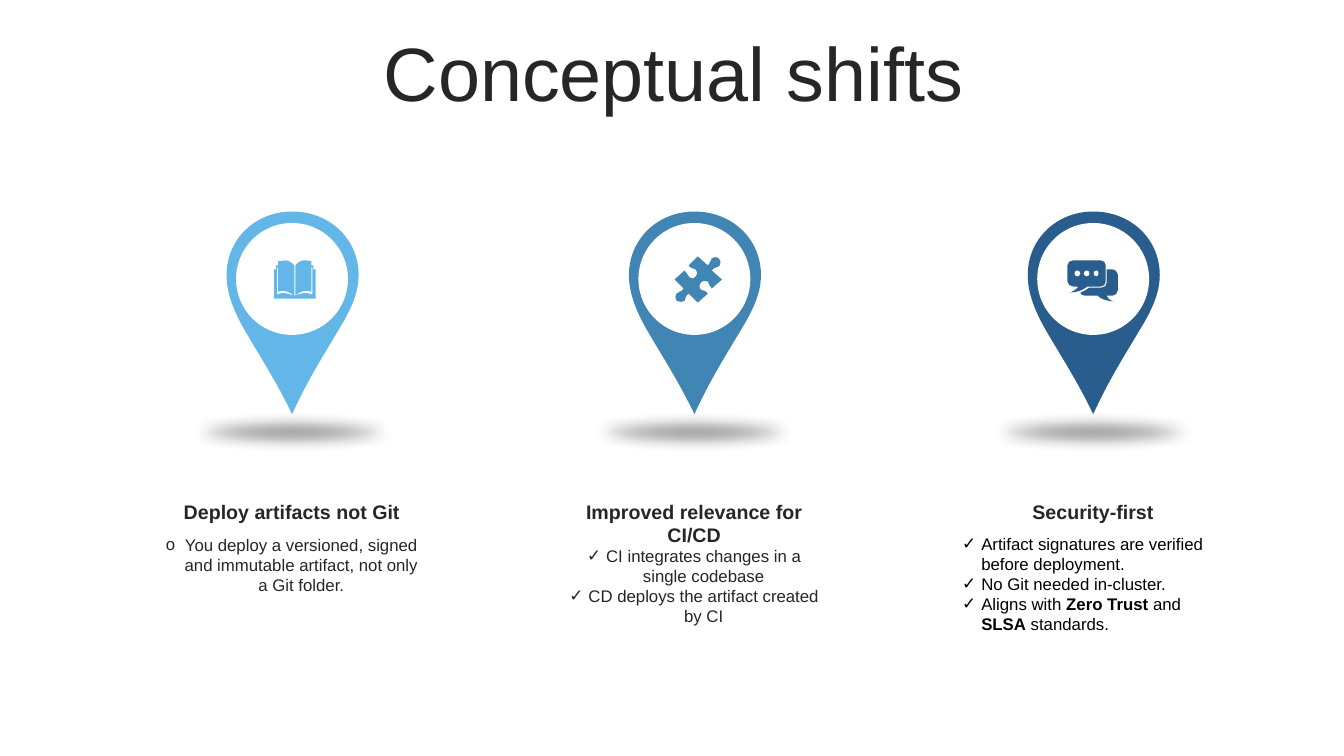
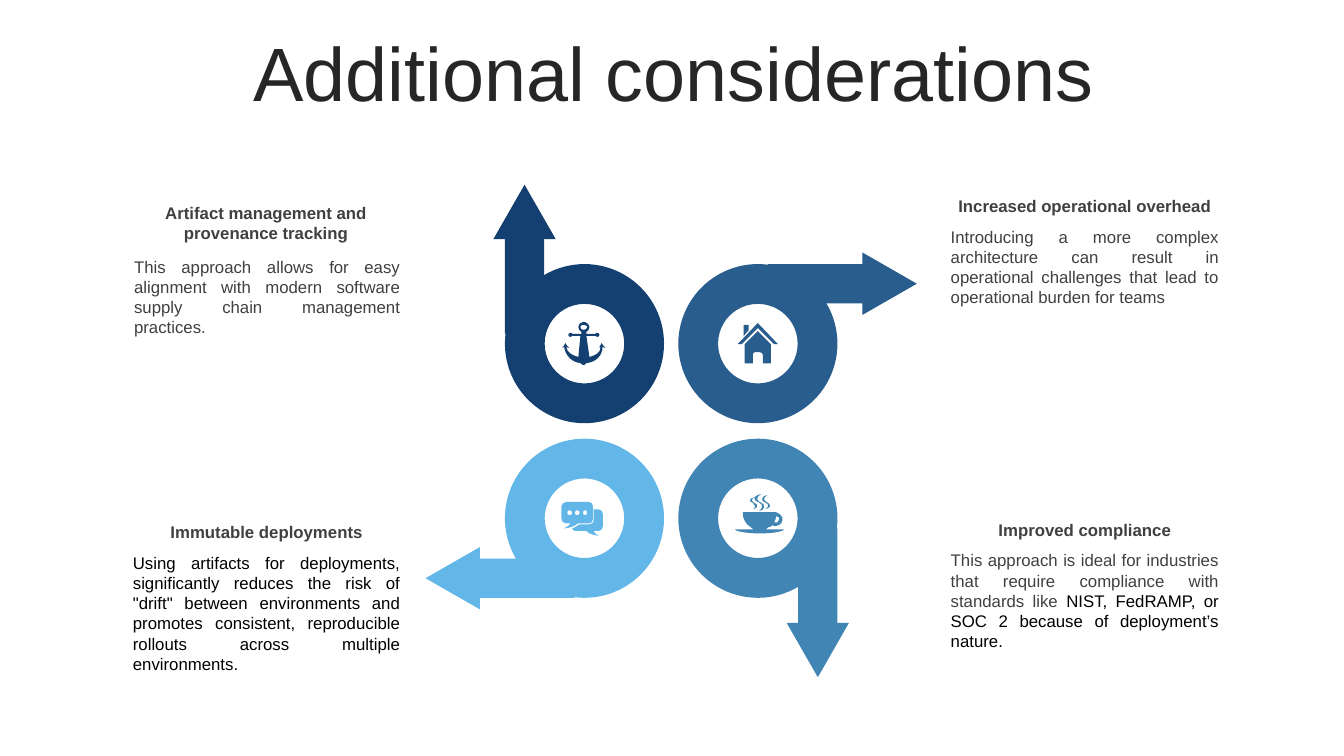
"""Build two slides: map pins for conceptual shifts and ring arrows for considerations."""
from dataclasses import dataclass
from math import cos, radians, sin
from typing import Any, NamedTuple

from lxml.etree import Element, SubElement
from pptx import Presentation
from pptx.dml.color import RGBColor
from pptx.enum.shapes import MSO_SHAPE as Shp
from pptx.enum.text import MSO_ANCHOR as Anchor, MSO_AUTO_SIZE as Auto, PP_ALIGN as Al
from pptx.oxml.ns import qn
from pptx.util import Cm, Pt

FONT = "Arial"
INK, GREY, BLACK, WHITE = "262626", "404040", "000000", "FFFFFF"
SKY, STEEL, BLUE, NAVY = "62B7E8", "4185B5", "285D8D", "134070"
CHECK = "✓"
COLUMN_W = 7.09
UNIT = Cm(2.54) / 100

PIN = ("M65 0 C102 0 131 27 131 63 C131 81 123 98 112 116 C96 143 81 166 65 201 "
       "C48 166 35 147 17 116 C7 98 0 81 0 63 C0 27 29 0 65 0")
BOOK = ("M20 35 L21 35 C27 33 30 31 38 34 L38 7 L37 7 L37 31 C31 29 25 31 21 35 L21 5 "
        "C24 2 26 0 30 0 C32 0 33 0 37 1 L37 5 L39 5 L39 9 L41 9 L41 38 L0 38 L0 9 L2 9 "
        "L2 5 L4 5 L4 1 C7 0 8 0 11 0 C14 0 17 2 20 5 L20 35 C15 31 9 29 4 31 L4 7 L3 7 "
        "L3 34 C9 31 13 33 20 35")
PUZZLE = ("M44 2 C46 4 46 7 45 9 C42 12 40 10 37 14 L47 23 L37 32 C34 30 35 27 33 25 "
          "C30 24 28 24 26 26 C25 27 24 30 26 33 C29 35 30 33 33 37 L23 46 L14 37 "
          "C10 40 12 41 10 44 C7 46 4 45 2 44 C1 42 0 39 2 37 C4 34 7 36 9 32 L0 23 L10 14 "
          "C13 16 12 19 15 21 C17 23 20 22 21 20 C23 19 23 16 21 13 C18 11 17 13 14 9 "
          "L23 0 L33 9 C36 6 35 5 37 2 C40 0 43 1 44 2")
CHAT = ("M29 10 C27 10 26 11 26 13 C26 15 27 16 29 16 C30 16 31 15 31 13 C31 11 30 10 29 10 "
        "M19 10 C18 10 16 11 16 13 C16 15 18 16 19 16 C21 16 22 15 22 13 C22 11 21 10 19 10 "
        "M10 10 C8 10 7 11 7 13 C7 15 8 16 10 16 C11 16 13 15 13 13 C13 11 11 10 10 10 "
        "M39 9 L45 9 C47 9 50 11 50 14 L50 30 C50 33 47 35 45 35 L39 35 C40 37 40 38 45 41 "
        "C36 39 34 39 30 35 L17 35 C15 35 13 34 13 32 C16 31 19 29 22 27 L34 27 "
        "C37 27 39 25 39 22 L39 9 M6 0 L33 0 C36 0 38 2 38 5 L38 21 C38 24 36 26 33 26 "
        "L20 26 C14 30 12 31 3 32 C8 29 9 29 11 26 L6 26 C3 26 0 24 0 21 L0 5 C0 2 3 0 6 0")
HOUSE = ("M20 8 L33 21 L33 40 L25 40 L25 32 C25 30 24 29 22 29 L17 29 C16 29 15 30 15 32 "
         "L15 40 L7 40 L7 21 M6 2 L11 2 L11 7 L6 13 M20 0 L40 21 L36 21 L20 5 L4 21 L0 21")
CUP = ("M41 22 C41 24 40 26 39 28 C40 28 41 28 42 28 C43 27 44 26 44 24 C44 23 43 22 41 22 "
       "M41 18 C44 19 46 21 47 23 C48 27 46 30 43 31 C41 32 39 32 37 31 C36 32 35 33 33 33 "
       "C32 34 31 35 30 35 L49 35 C48 37 38 39 25 39 C12 39 1 37 0 35 L19 35 "
       "C18 35 17 34 16 33 C11 30 7 24 8 18 "
       "M20 3 C18 4 17 4 17 6 C17 9 23 9 22 12 C22 14 21 14 18 15 C20 14 20 13 20 12 "
       "C20 9 17 9 15 7 C14 5 16 4 20 3 "
       "M32 1 C30 3 29 3 29 5 C29 8 35 8 35 12 C34 14 33 14 30 15 C32 14 33 13 33 11 "
       "C33 9 28 8 27 6 C26 4 28 2 32 1 "
       "M26 0 C24 2 22 2 22 5 C23 9 30 8 29 13 C29 15 27 16 24 17 C26 15 27 14 27 12 "
       "C27 9 22 8 20 6 C18 3 21 1 26 0")
ANCHOR = ("M21 3 C19 3 18 4 18 5 C18 7 19 8 21 8 C23 8 25 7 25 5 C25 4 23 3 21 3 "
          "M21 0 C24 0 27 3 27 5 C27 7 26 9 24 10 L24 12 L33 12 C33 11 34 11 35 11 "
          "C36 11 37 12 37 13 C37 14 36 15 35 15 C34 15 33 14 33 14 L24 14 L27 35 "
          "C33 33 38 31 38 25 C37 25 36 25 36 26 C37 24 39 23 39 21 C40 23 41 24 43 26 "
          "C42 25 41 25 40 25 C40 33 34 40 24 41 C23 42 22 43 21 43 C20 43 20 42 18 41 "
          "C9 40 3 33 2 25 C1 25 1 25 0 26 C1 24 3 23 3 21 C4 23 5 24 7 26 C6 25 5 25 4 25 "
          "C5 31 10 33 16 35 L18 14 L10 14 C10 14 9 15 8 15 C7 15 6 14 6 13 C6 12 7 11 8 11 "
          "C9 11 10 11 10 12 L19 12 L19 10 C17 9 16 7 16 5 C16 3 18 0 21 0")


class Box(NamedTuple):
    """Position and size in centimetres."""
    left: float
    top: float
    width: float
    height: float


class Run(NamedTuple):
    """Text with its colour and weight."""
    text: str
    color: str = INK
    bold: bool = False


class Icon(NamedTuple):
    """An outline placed in centimetres."""
    outline: str
    left: float
    top: float
    scale: float = 1


@dataclass
class Pin:
    """A map pin with a heading and a bulleted text below it."""
    left: float
    color: str
    icon: Icon
    heading: str
    heading_h: float
    body_top: float
    body_h: float
    body: list[list[Run]]
    bullet: str = CHECK
    align: Any = Al.CENTER


@dataclass
class Ring:
    """A ring whose arrow leaves at a quarter-turn angle."""
    x: float
    y: float
    angle: int
    color: str
    icon: Icon


@dataclass
class Note:
    """A heading with a justified text below it."""
    heading: str
    heading_box: Box
    body_box: Box
    body: list[Run]


PINS = [
    Pin(3.81, SKY, Icon(BOOK, 6.91, 6.56), "Deploy artifacts not Git", 0.86, 13.34, 1.8,
        [[Run("You deploy a versioned, signed and immutable artifact, not only a Git folder.")]],
        bullet="o"),
    Pin(13.95, STEEL, Icon(PUZZLE, 17, 6.46), "Improved relevance for CI/CD", 1.45, 13.62, 2.31,
        [[Run("CI integrates changes in a single codebase")],
         [Run("CD deploys the artifact created by CI")]]),
    Pin(24, BLUE, Icon(CHAT, 26.9, 6.56), "Security-first", 0.86, 13.32, 2.82,
        [[Run("Artifact signatures are verified before deployment.", BLACK)],
         [Run("No Git needed in-cluster.", BLACK)],
         [Run("Aligns with ", BLACK), Run("Zero Trust", BLACK, True), Run(" and ", BLACK),
          Run("SLSA", BLACK, True), Run(" standards.", BLACK)]],
        align=Al.LEFT),
]

RINGS = [
    Ring(14.73, 13.06, 180, SKY, Icon(CHAT, 14.15, 12.65, 0.82)),
    Ring(19.1, 8.66, 0, BLUE, Icon(HOUSE, 18.59, 8.14)),
    Ring(14.73, 8.66, 270, NAVY, Icon(ANCHOR, 14.17, 8.11)),
    Ring(19.1, 13.06, 90, STEEL, Icon(CUP, 18.52, 12.45)),
]

NOTES = [
    Note("Artifact management and provenance tracking",
         Box(3.1, 4.98, 7.21, 1.27), Box(3.13, 6.34, 7.21, 1.8),
         [Run("This approach allows for easy alignment with modern software supply chain "
              "management practices.", GREY)]),
    Note("Increased operational overhead",
         Box(23.71, 4.8, 7.26, 0.76), Box(23.71, 5.58, 7.26, 2.31),
         [Run("Introducing a more complex architecture can result in operational challenges "
              "that lead to operational burden for teams", GREY)]),
    Note("Immutable deployments",
         Box(3.1, 13.03, 7.24, 0.76), Box(3.1, 13.8, 7.24, 3.33),
         [Run('Using artifacts for deployments, significantly reduces the risk of "drift" '
              "between environments and promotes consistent, reproducible rollouts across "
              "multiple environments.", BLACK)]),
    Note("Improved compliance",
         Box(23.71, 12.97, 7.26, 0.76), Box(23.71, 13.74, 7.26, 2.82),
         [Run("This approach is ideal for industries that require compliance with standards "
              "like ", GREY),
          Run("NIST, FedRAMP, or SOC 2 because of deployment’s nature.", BLACK)]),
]


def rgb(color: str) -> RGBColor:
    """Turn a hex string into a colour."""
    return RGBColor.from_string(color)


def apply(target: Any, values: dict[str, Any]) -> None:
    """Set each attribute named in a dict."""
    for name, value in values.items():
        setattr(target, name, value)


def paint(s: Any, color: str) -> None:
    """Give a shape a flat fill with no line or shadow."""
    s.shadow.inherit = False
    s.fill.solid()
    s.fill.fore_color.rgb = rgb(color)
    s.line.fill.background()


def add_shape(slide: Any, kind: Any, box: Box, color: str, angle: float = 0) -> Any:
    """Draw a preset shape."""
    s = slide.shapes.add_shape(kind, *map(Cm, box))
    paint(s, color)
    s.rotation = angle
    return s


def add_centred(slide: Any, kind: Any, x: float, y: float, w: float, h: float,
                color: str, angle: float = 0) -> None:
    """Draw a preset shape around a centre point."""
    add_shape(slide, kind, Box(x - w / 2, y - h / 2, w, h), color, angle)


def bend(s: Any, kinds: str) -> None:
    """Merge each three segments that stand for a curve into one Bézier segment."""
    segments = s._element.spPr.iter(qn("a:moveTo"), qn("a:lnTo"))
    nodes = iter(list(segments))
    for kind in kinds:
        node = next(nodes)
        if kind == "C":
            curve = Element(qn("a:cubicBezTo"))
            node.addprevious(curve)
            for line in (node, next(nodes), next(nodes)):
                curve.append(line[0])
                line.getparent().remove(line)


def add_icon(slide: Any, icon: Icon, color: str) -> None:
    """Draw an outline of M, L and C commands as one freeform."""
    unit = UNIT * icon.scale
    builder = None
    for contour in icon.outline.split("M")[1:]:
        nums = [round(float(n) * unit) for n in contour.replace("L", "").replace("C", "").split()]
        first, *rest = zip(nums[::2], nums[1::2])
        if builder is None:
            builder = slide.shapes.build_freeform(*first, scale=1.0)
        else:
            builder.move_to(*first)
        builder.add_line_segments(rest, close=True)
    s = builder.convert_to_shape(Cm(icon.left), Cm(icon.top))
    bend(s, "".join(c for c in icon.outline if c in "MLC"))
    paint(s, color)


def add_text(slide: Any, box: Box, paragraphs: list[list[Run]], size: int = 12,
             align: Any = Al.CENTER, anchor: Any = Anchor.TOP, bullet: str = "") -> None:
    """Write paragraphs in a wrapping text box."""
    tf = slide.shapes.add_textbox(*map(Cm, box)).text_frame
    apply(tf, {"word_wrap": True, "auto_size": Auto.SHAPE_TO_FIT_TEXT, "vertical_anchor": anchor})
    for i, runs in enumerate(paragraphs):
        p = tf.add_paragraph() if i else tf.paragraphs[0]
        p.alignment = align
        if bullet:
            pPr = p._p.get_or_add_pPr()
            pPr.set("marL", str(Cm(0.48)))
            pPr.set("indent", str(-Cm(0.48)))
            SubElement(pPr, qn("a:buFont")).set("typeface", FONT)
            SubElement(pPr, qn("a:buChar")).set("char", bullet)
        for run in runs:
            r = p.add_run()
            r.text = run.text
            apply(r.font, {"name": FONT, "size": Pt(size), "bold": run.bold})
            r.font.color.rgb = rgb(run.color)


def add_slide(prs: Any, title: str) -> Any:
    """Add a title-only slide with the shared title style."""
    slide = prs.slides.add_slide(prs.slide_layouts[5])
    s = slide.shapes.title
    apply(s, {"left": Cm(0.89), "top": Cm(0.94), "width": Cm(32.16), "height": Cm(2.01)})
    tf = s.text_frame
    tf.text = title
    apply(tf, {"word_wrap": True, "auto_size": Auto.NONE, "vertical_anchor": Anchor.MIDDLE})
    p = tf.paragraphs[0]
    apply(p, {"alignment": Al.CENTER, "line_spacing": 0.9})
    r = p.runs[0]
    apply(r.font, {"name": FONT, "size": Pt(54)})
    r.font.color.rgb = rgb(INK)
    return slide


def add_shadow(slide: Any, left: float) -> None:
    """Draw the soft translucent ellipse under a pin."""
    s = add_shape(slide, Shp.OVAL, Box(left, 10.35, COLUMN_W, 1.07), GREY)
    spPr = s._element.spPr
    SubElement(spPr.find(qn("a:solidFill"))[0], qn("a:alpha")).set("val", "58000")
    SubElement(spPr.find(qn("a:effectLst")), qn("a:softEdge")).set("rad", str(Pt(10)))


def add_pin(slide: Any, pin: Pin) -> None:
    """Draw a pin with its icon and texts."""
    add_icon(slide, Icon(PIN, pin.left + 1.9, 5.33), pin.color)
    add_shape(slide, Shp.OVAL, Box(pin.left + 2.14, 5.62, 2.82, 2.82), WHITE)
    add_shadow(slide, pin.left)
    add_icon(slide, pin.icon, pin.color)
    add_text(slide, Box(pin.left, 12.46, COLUMN_W, pin.heading_h),
             [[Run(pin.heading, bold=True)]], 14, anchor=Anchor.MIDDLE)
    add_text(slide, Box(pin.left, pin.body_top, COLUMN_W, pin.body_h), pin.body,
             align=pin.align, bullet=pin.bullet)


def add_ring(slide: Any, ring: Ring) -> None:
    """Draw a ring, its turned arrow and its icon."""
    c, n = cos(radians(ring.angle)), sin(radians(ring.angle))
    add_centred(slide, Shp.DONUT, ring.x, ring.y, 4.01, 4.01, ring.color)
    for kind, dx, w, h, turn in ((Shp.RECTANGLE, 1.46, 2.41, 0.99, 0),
                                 (Shp.ISOSCELES_TRIANGLE, 3.32, 1.57, 1.37, 90)):
        dy = -1.51
        add_centred(slide, kind, ring.x + dx * c - dy * n, ring.y + dx * n + dy * c,
                    w, h, ring.color, (ring.angle + turn) % 360)
    add_icon(slide, ring.icon, ring.color)


def add_note(slide: Any, note: Note) -> None:
    """Write a heading and its justified text."""
    add_text(slide, note.heading_box, [[Run(note.heading, GREY, True)]])
    add_text(slide, note.body_box, [note.body], align=Al.JUSTIFY)


def main() -> None:
    """Build and save the presentation."""
    prs = Presentation()
    apply(prs, {"slide_width": Cm(33.87), "slide_height": Cm(19.05)})
    shifts = add_slide(prs, "Conceptual shifts")
    for pin in PINS:
        add_pin(shifts, pin)
    considerations = add_slide(prs, "Additional considerations")
    for ring in RINGS:
        add_ring(considerations, ring)
    for note in NOTES:
        add_note(considerations, note)
    prs.save("out.pptx")


if __name__ == "__main__":
    main()
